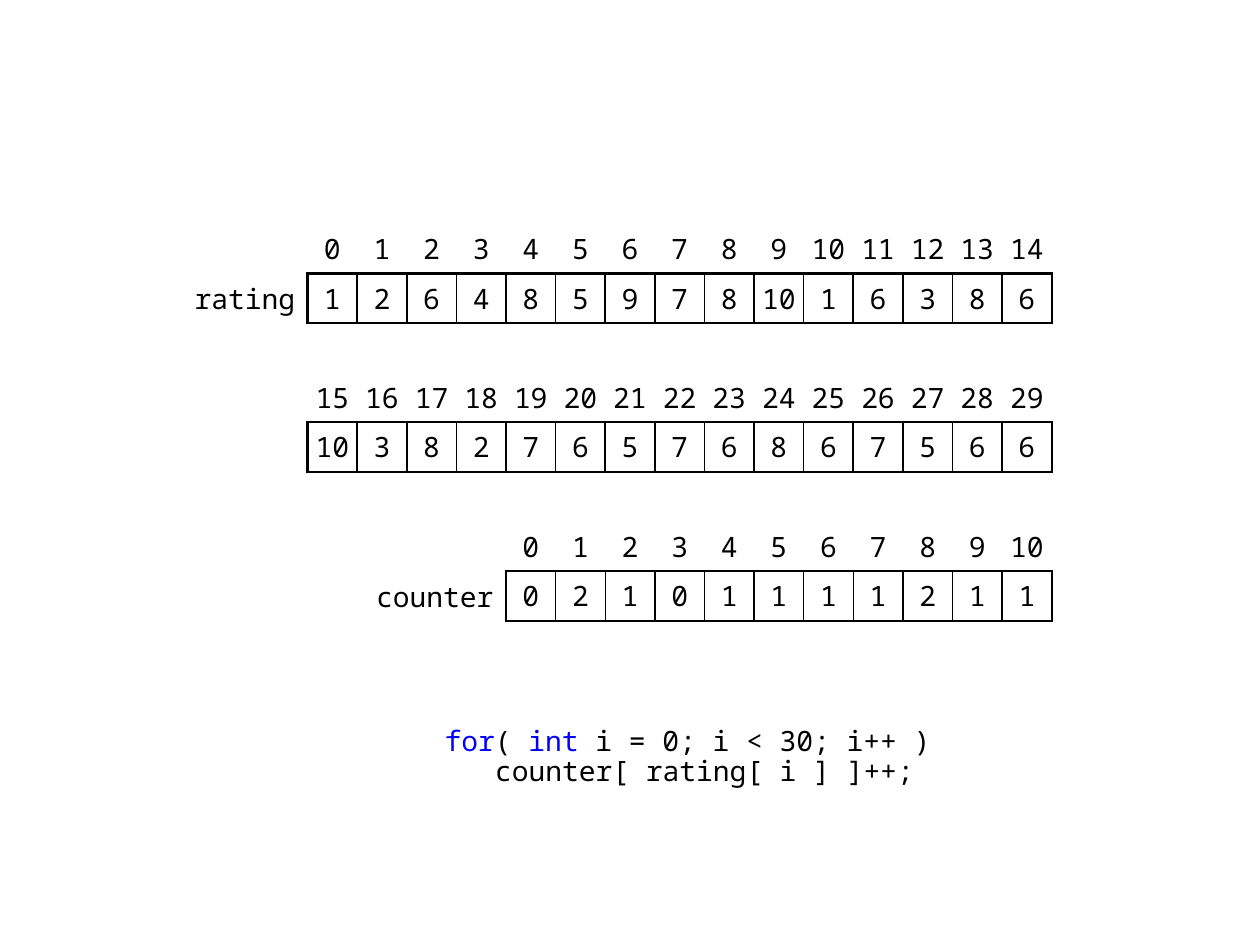
from pptx import Presentation
from pptx.dml.color import RGBColor
from pptx.enum.text import MSO_ANCHOR, PP_ALIGN
from pptx.oxml import parse_xml
from pptx.oxml.ns import nsdecls, qn
from pptx.util import Pt

MIDDLE = MSO_ANCHOR.MIDDLE
CENTER, RIGHT = PP_ALIGN.CENTER, PP_ALIGN.RIGHT
BLACK, BLUE = "000000", "0000FF"
PLAIN = "{2D5ABB26-0587-4C30-8999-92F81FD0307C}"  # table style without grid
SIZE = 16
CELL = 28.35
LEFT, TOP = 175.75, 127.9
LABEL = 85.05


def write(para, text, color=BLACK):
    run = para.add_run()
    run.text = text
    font = {"size": Pt(SIZE), "name": "Noto Sans Mono"}
    for key, value in font.items():
        setattr(run.font, key, value)
    run.font.color.rgb = RGBColor.from_string(color)


def border(cell, sides):
    props = cell._tc.get_or_add_tcPr()
    for side, width in sides.items():
        props.append(parse_xml(
            f'<a:{side} {nsdecls("a")} w="{Pt(width)}"><a:solidFill>'
            f'<a:srgbClr val="{BLACK}"/></a:solidFill></a:{side}>'))


deck = Presentation()
deck.slide_width, deck.slide_height = Pt(720), Pt(540)
slide = deck.slides.add_slide(deck.slide_layouts[6])

# Code: the loop header and its indented body
code = [
    (0, [("for", BLUE), ("( ", BLACK), ("int", BLUE),
         (" i = 0; i < 30; i++ )", BLACK)]),
    (3, [("counter[ rating[ i ] ]++;", BLACK)]),
]
box = slide.shapes.add_textbox(Pt(247), Pt(412), Pt(297.5), Pt(57))
frame = box.text_frame
frame.word_wrap = True
for row, (indent, parts) in enumerate(code):
    para = frame.add_paragraph() if row else frame.paragraphs[0]
    para.line_spacing = 0.9
    # One character is 0.6 of the font size wide
    para._p.get_or_add_pPr().set("marL", str(Pt(indent * 0.6 * SIZE)))
    for text, color in parts:
        write(para, text, color)

# Arrays: label, first index, columns skipped on the left, values
arrays = [
    ("rating", 0, 0, [1, 2, 6, 4, 8, 5, 9, 7, 8, 10, 1, 6, 3, 8, 6]),
    ("", 15, 0, [10, 3, 8, 2, 7, 6, 5, 7, 6, 8, 6, 7, 5, 6, 6]),
    ("counter", 0, 4, [0, 2, 1, 0, 1, 1, 1, 1, 2, 1, 1]),
]
style = {"vertical_anchor": MIDDLE, "margin_left": 0, "margin_right": 0,
         "margin_top": 0, "margin_bottom": 0}
for place, (label, first, skip, values) in enumerate(arrays):
    left = LEFT + skip * CELL
    top = TOP + place * 3 * CELL
    count = len(values)
    grid = slide.shapes.add_table(2, count, Pt(left), Pt(top),
                                  Pt(count * CELL), Pt(2 * CELL))
    table = grid.table
    table.first_row = table.horz_banding = False
    for node in grid.element.iter(qn("a:tableStyleId")):
        node.text = PLAIN
    for row in table.rows:
        row.height = Pt(CELL)

    # Indexes above, boxed values below
    for col, value in enumerate(values):
        table.columns[col].width = Pt(CELL)
        sides = {"lnL": 1 if col else 1.5,
                 "lnR": 1 if col < count - 1 else 1.5,
                 "lnT": 1.5, "lnB": 1.5}
        for row, (text, lines) in enumerate(
                [(first + col, {"lnB": 1.5}), (value, sides)]):
            cell = table.cell(row, col)
            border(cell, lines)
            cell.fill.background()
            for key, setting in style.items():
                setattr(cell, key, setting)
            para = cell.text_frame.paragraphs[0]
            para.alignment = CENTER
            write(para, str(text))

    # Name to the left of the values
    if label:
        box = slide.shapes.add_textbox(Pt(left - LABEL), Pt(top + CELL),
                                       Pt(LABEL), Pt(CELL))
        frame = box.text_frame
        frame.word_wrap = True
        frame.vertical_anchor = MIDDLE
        frame.paragraphs[0].alignment = RIGHT
        write(frame.paragraphs[0], label)

deck.save("out.pptx")
